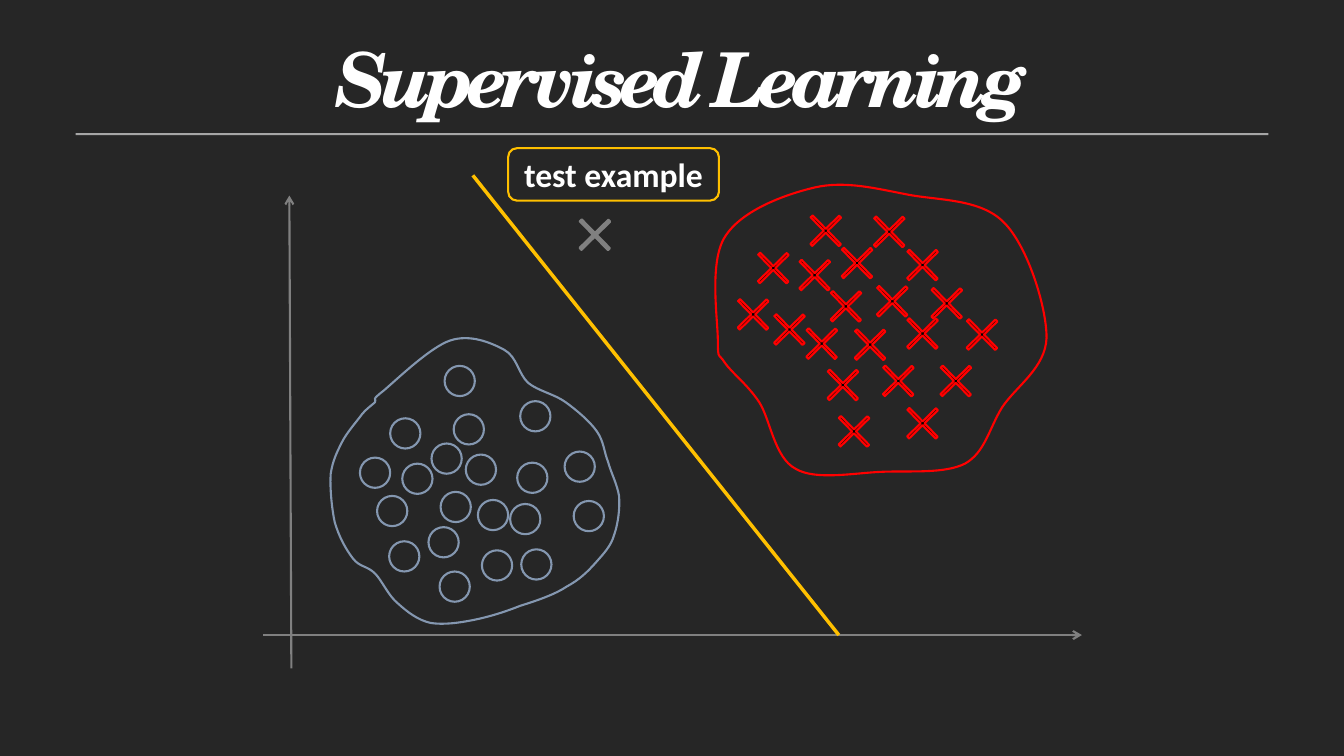
from itertools import islice

from lxml import etree
from pptx import Presentation
from pptx import util as u
from pptx.dml.color import RGBColor
from pptx.enum import shapes, text
from pptx.oxml.ns import qn

TITLE = "Supervised Learning"
LABEL = "test example"
COLORS = {
    "back": "262626", "rule": "A6A6A6", "white": "FFFFFF", "black": "000000",
    "axis": "808080", "circle": "8497B0", "cross": "FF0000", "split": "FFC000",
}
SLIDE = (13.33, 7.5)
CIRCLE, CROSS, TILT, NOTCH = 0.3, 0.4, 45.6, 0.466

AXES = [((2.89, 6.63), (2.87, 1.94)), ((2.61, 6.3), (10.73, 6.3))]
BOUNDARY = ((4.69, 1.74), (8.32, 6.3))
TEST_POINT = (5.7, 2.13)

CIRCLES = [
    (4.74, 4.96), (4.36, 5.67), (3.86, 5.37), (5.17, 5.45), (3.99, 4.6),
    (4.62, 4.51), (4.25, 5.23), (3.74, 4.92), (5.06, 5), (3.87, 4.15),
    (5.13, 4.59), (4.78, 5.46), (4.37, 4.88), (5.69, 4.97), (4.5, 4.11),
    (5.16, 3.98), (3.57, 4.54), (4.28, 4.4), (5.6, 4.48), (4.41, 3.63),
]
CROSSES = [
    (7.47, 2.46), (7.63, 3.07), (7.27, 2.92), (8.95, 2.43), (7.99, 2.09),
    (7.88, 2.53), (7.95, 3.21), (8.43, 3.22), (9.19, 2.81), (8.3, 2.41),
    (8.19, 2.84), (8.16, 3.62), (8.71, 3.58), (9.54, 3.12), (8.62, 2.1),
    (8.65, 2.79), (8.27, 4.08), (8.95, 4), (9.28, 3.58), (8.95, 3.11),
]
CROSS_REGION = [
    (712, 338),
    (712, 317), (703, 260), (719, 235), (735, 209), (778, 193), (808, 186),
    (838, 179), (869, 187), (900, 193), (931, 199), (973, 197), (996, 221),
    (1019, 244), (1038, 304), (1038, 335), (1037, 365), (1008, 383), (994, 404),
    (981, 425), (977, 449), (957, 460), (937, 470), (904, 467), (876, 468),
    (848, 469), (809, 477), (789, 465), (768, 454), (764, 416), (753, 399),
    (741, 381), (726, 370), (719, 360), (713, 350), (712, 358), (712, 338),
]
CIRCLE_REGION = [
    (380, 388),
    (392, 378), (426, 345), (446, 338), (466, 331), (487, 340), (500, 347),
    (513, 354), (514, 371), (524, 380), (534, 388), (550, 391), (561, 399),
    (572, 407), (585, 418), (592, 428), (599, 438), (599, 448), (603, 458),
    (606, 469), (612, 480), (614, 492), (615, 504), (613, 520), (609, 531),
    (606, 542), (598, 550), (591, 558), (583, 567), (575, 575), (562, 582),
    (550, 590), (532, 596), (516, 601), (501, 607), (485, 612), (470, 615),
    (455, 618), (440, 620), (427, 618), (414, 615), (404, 607), (395, 599),
    (385, 591), (379, 576), (372, 569), (364, 561), (357, 563), (350, 554),
    (343, 545), (336, 532), (332, 518), (329, 504), (327, 483), (328, 470),
    (330, 457), (334, 449), (339, 439), (344, 429), (354, 418), (359, 411),
    (365, 404), (369, 402), (372, 399), (374, 395), (367, 398), (380, 388),
]


def rgb(name):
    return RGBColor.from_string(COLORS[name])


def style(sp, fill=None, line=None):
    sp.shadow.inherit = False
    if fill:
        sp.fill.solid()
        sp.fill.fore_color.rgb = rgb(fill)
    else:
        sp.fill.background()
    if line:
        sp.line.color.rgb = rgb(line)
        sp.line.width = u.Pt(1.5)
    else:
        sp.line.fill.background()


def add_shape(parent, kind, box, fill=None, line=None):
    sp = parent.add_shape(kind, *map(u.Inches, box))
    style(sp, fill, line)
    return sp


def add_cross(parent, spot, fill, line):
    sp = add_shape(parent, shapes.MSO_SHAPE.CROSS, (*spot, CROSS, CROSS), fill, line)
    sp.adjustments[0] = NOTCH
    sp.rotation = TILT


def add_line(parent, ends, color, width, arrow=False):
    start, end = ends
    ln = parent.add_connector(shapes.MSO_CONNECTOR.STRAIGHT, *map(u.Inches, start + end))
    ln.line.color.rgb = rgb(color)
    ln.line.width = u.Pt(width)
    props = ln._element.spPr
    etree.SubElement(props, qn("a:effectLst"))
    if arrow:
        etree.SubElement(props.find(qn("a:ln")), qn("a:tailEnd"), type="arrow")


def add_region(parent, points, color):
    builder = parent.build_freeform(*points[0], scale=u.Inches(0.01))
    builder.add_line_segments(points[1:], close=True)
    sp = builder.convert_to_shape()
    outline = next(sp._element.iter(qn("a:path")))
    segments = iter(outline.findall(qn("a:lnTo")))
    while triple := list(islice(segments, 3)):
        curve = etree.Element(qn("a:cubicBezTo"))
        triple[0].addprevious(curve)
        for segment in triple:
            curve.append(segment[0])
            outline.remove(segment)
    style(sp, line=color)


def add_text(p, words, font, size):
    p.alignment = text.PP_ALIGN.CENTER
    r = p.add_run()
    r.text = words
    r.font.name = font
    r.font.size = u.Pt(size)
    r.font.bold = True
    r.font.color.rgb = rgb("white")
    return r


def main():
    prs = Presentation()
    prs.slide_width, prs.slide_height = map(u.Inches, SLIDE)
    s = prs.slides.add_slide(prs.slide_layouts[5])
    s.background.fill.solid()
    s.background.fill.fore_color.rgb = rgb("back")

    add_shape(s.shapes, shapes.MSO_SHAPE.RECTANGLE, (0.75, 1.32, 11.83, 0.02), "rule")

    title = s.shapes.title
    title.left, title.top, title.width, title.height = map(u.Inches, (1.22, 0.05, 11.08, 1.17))
    tf = title.text_frame
    tf.word_wrap = True
    tf.auto_size = text.MSO_AUTO_SIZE.NONE
    tf.vertical_anchor = text.MSO_ANCHOR.TOP
    p = tf.paragraphs[0]
    p.line_spacing = u.Pt(80.7)
    r = add_text(p, TITLE, "TeX Gyre Schola", 54)
    r.font.italic = True
    r.font._element.set("spc", "-480")

    plot = s.shapes.add_group_shape().shapes
    for axis in AXES:
        add_line(plot, axis, "axis", 1.5, arrow=True)
    for spot in CIRCLES:
        add_shape(plot, shapes.MSO_SHAPE.OVAL, (*spot, CIRCLE, CIRCLE), line="circle")
    for spot in CROSSES:
        add_cross(plot, spot, "black", "cross")

    add_region(s.shapes, CROSS_REGION, "cross")
    add_region(s.shapes, CIRCLE_REGION, "circle")
    add_line(s.shapes, BOUNDARY, "split", 2.5)
    add_cross(s.shapes, TEST_POINT, "axis", "axis")

    label = add_shape(s.shapes, shapes.MSO_SHAPE.ROUNDED_RECTANGLE,
                      (5.04, 1.47, 2.09, 0.52), line="split")
    label.text_frame.vertical_anchor = text.MSO_ANCHOR.MIDDLE
    add_text(label.text_frame.paragraphs[0], LABEL, "Calibri", 24)

    prs.save("out.pptx")


if __name__ == "__main__":
    main()
